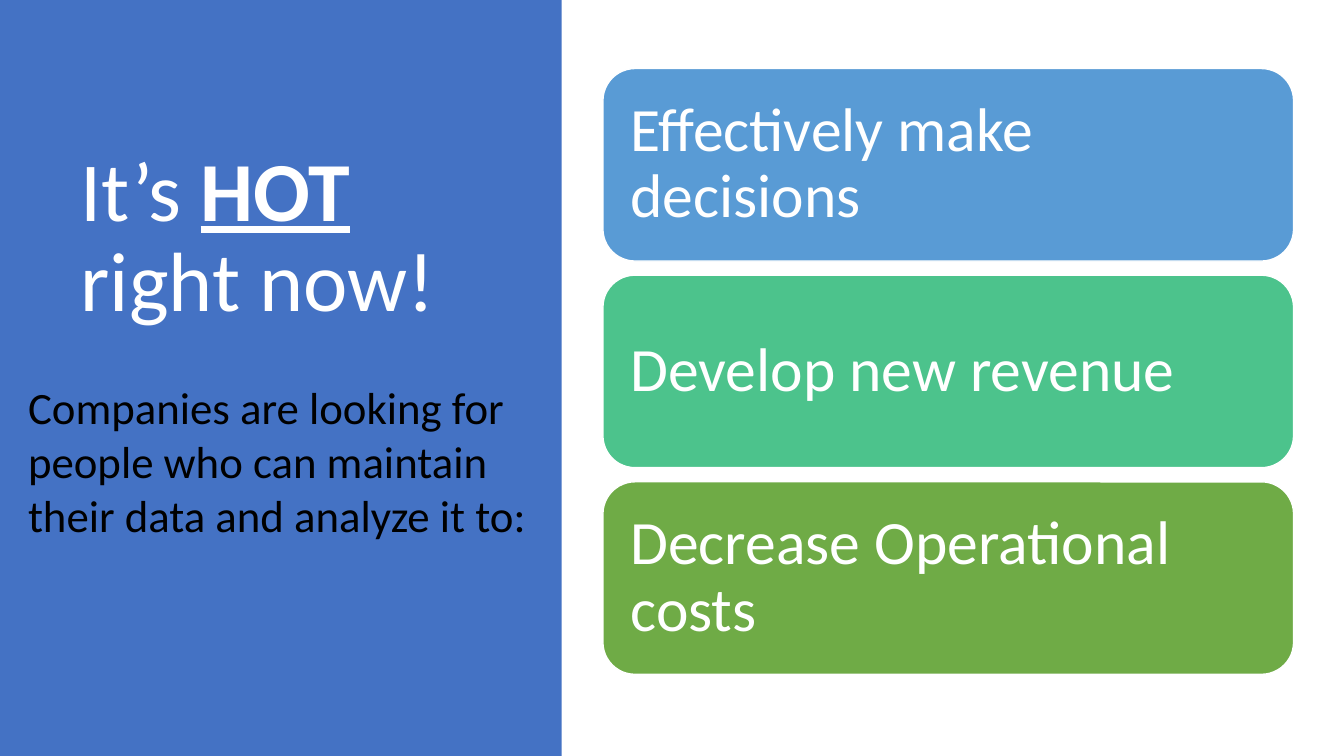
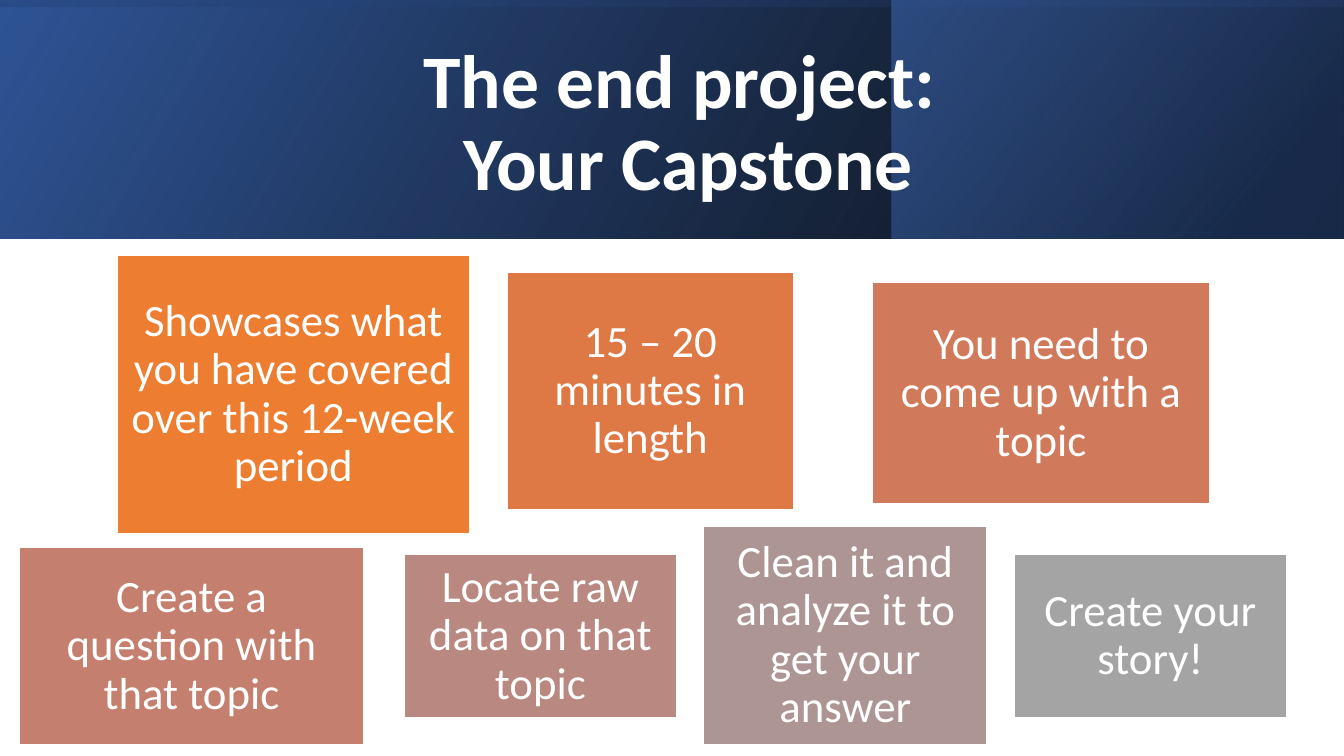
import pptx
import pptx.dml.color
import pptx.enum.shapes
import pptx.enum.text
import pptx.oxml
import pptx.oxml.ns
import pptx.util
from pptx.util import Inches

FONT = "Calibri"
WHITE, BLACK = "FFFFFF", "000000"
BLUE, DEEP_BLUE, NAVY = "4472C4", "2F5496", "1F3864"
WIDTH, HEIGHT, BAND_HEIGHT = 13.33, 7.5, 2.37
RECT = pptx.enum.shapes.MSO_SHAPE.RECTANGLE
ROUNDED = pptx.enum.shapes.MSO_SHAPE.ROUNDED_RECTANGLE
LEFT = pptx.enum.text.PP_ALIGN.LEFT
CENTER = pptx.enum.text.PP_ALIGN.CENTER
MIDDLE = pptx.enum.text.MSO_ANCHOR.MIDDLE
TOP = pptx.enum.text.MSO_ANCHOR.TOP

GOALS = [
    ("Effectively make decisions", "599BD5"),
    ("Develop new revenue", "4CC38C"),
    ("Decrease Operational costs", "6FAB46"),
]
STEPS = [
    ("Showcases what you have covered over this 12-week period", "ED7D31", (1.16, 2.53, 3.5, 2.77)),
    ("15 – 20 minutes in length", "DE7946", (5.03, 2.7, 2.84, 2.36)),
    ("You need to come up with a topic", "D07A5B", (8.65, 2.8, 3.35, 2.2)),
    ("Create a question with that topic", "C47F6E", (0.19, 5.43, 3.42, 1.96)),
    ("Locate raw data on that topic", "B88881", (4.01, 5.5, 2.7, 1.62)),
    ("Clean it and analyze it to get your answer", "AD9593", (6.98, 5.22, 2.81, 2.17)),
    ("Create your story!", "A4A4A4", (10.06, 5.5, 2.7, 1.62)),
]


def rgb(value):
    """Return the colour for a hex string."""
    return pptx.dml.color.RGBColor.from_string(value)


def inches(box):
    """Return the lengths of a box in inches."""
    return [Inches(v) for v in box]


def style_text(tf, size, color=WHITE, align=LEFT, anchor=MIDDLE, spacing=0.9):
    """Wrap, anchor and format every paragraph of a text frame."""
    tf.word_wrap = True
    tf.vertical_anchor = anchor
    for p in tf.paragraphs:
        p.alignment = align
        p.line_spacing = spacing
        p.font.name = FONT
        p.font.size = pptx.util.Pt(size)
        p.font.color.rgb = rgb(color)


def add_block(slide, box, fill=None, shape=RECT):
    """Add a shape without outline or shadow."""
    sp = slide.shapes.add_shape(shape, *inches(box))
    sp.shadow.inherit = False
    sp.line.fill.background()
    if fill:
        sp.fill.solid()
        sp.fill.fore_color.rgb = rgb(fill)
    return sp


def add_card(slide, box, text, fill, size, margin, align, shape=RECT):
    """Add a white-edged card holding white text."""
    sp = add_block(slide, box, fill, shape)
    sp.line.color.rgb = rgb(WHITE)
    sp.line.width = pptx.util.Pt(1)
    tf = sp.text_frame
    tf.margin_left = tf.margin_right = tf.margin_top = tf.margin_bottom = Inches(margin)
    tf.text = text
    style_text(tf, size, align=align)


def add_gradient(slide, box, stops, angle, rotation=0):
    """Add a mirrored block with stops of position, colour and opacity."""
    sp = add_block(slide, box)
    sp.rotation = rotation
    props = sp.element.spPr
    props.find(pptx.oxml.ns.qn("a:xfrm")).set("flipH", "1")
    marks = "".join(
        f'<a:gs pos="{pos * 1000}"><a:srgbClr val="{color}">'
        f'<a:alpha val="{alpha * 1000}"/></a:srgbClr></a:gs>'
        for pos, color, alpha in stops
    )
    fill = pptx.oxml.parse_xml(
        f'<a:gradFill {pptx.oxml.ns.nsdecls("a")} rotWithShape="1"><a:gsLst>{marks}</a:gsLst>'
        f'<a:lin ang="{angle * 60000}" scaled="0"/></a:gradFill>'
    )
    props.find(pptx.oxml.ns.qn("a:prstGeom")).addnext(fill)


def set_title(slide, box, text, size, align):
    """Place the title in front of the shapes so far and return its paragraph."""
    title = slide.shapes.title
    title.element.getparent().append(title.element)
    title.left, title.top, title.width, title.height = inches(box)
    tf = title.text_frame
    tf.auto_size = pptx.enum.text.MSO_AUTO_SIZE.NONE
    tf.text = text
    style_text(tf, size, align=align)
    return tf.paragraphs[0]


def add_text(slide, box, text, size, color):
    """Add a plain text box."""
    tf = slide.shapes.add_textbox(*inches(box)).text_frame
    tf.text = text
    style_text(tf, size, color, anchor=TOP, spacing=1.0)


def build_demand(slide):
    """Build the slide on why data skills are wanted."""
    add_block(slide, (0, 0, 5.57, HEIGHT), BLUE)
    p = set_title(slide, (0.7, 1, 4.16, 2.75), "It’s ", 60, LEFT)
    r = p.add_run()
    r.text = "HOT"
    r.font.bold = r.font.underline = True
    p.add_run().text = " right now!"
    for i, (text, fill) in enumerate(GOALS):
        box = (5.98, 0.68 + 2.05 * i, 6.85, 1.91)
        add_card(slide, box, text, fill, 44, 0.18, LEFT, ROUNDED)
    add_text(slide, (0.18, 3.72, 5.2, 1.72),
             "Companies are looking for people who can maintain their data and analyze it to:",
             32, BLACK)


def build_capstone(slide):
    """Build the slide on the end project."""
    add_gradient(slide, (0, 0, WIDTH, BAND_HEIGHT),
                 [(0, BLACK, 96), (100, DEEP_BLUE, 100)], 330)
    add_gradient(slide, (8.84, 0, 4.48, BAND_HEIGHT),
                 [(0, NAVY, 68), (19, NAVY, 68), (100, BLUE, 48)], 320)
    offset = (WIDTH - BAND_HEIGHT) / 2
    add_gradient(slide, (offset, -offset, BAND_HEIGHT, WIDTH),
                 [(0, DEEP_BLUE, 16), (23, DEEP_BLUE, 16), (99, BLACK, 45), (100, BLACK, 45)],
                 350, 270)
    p = set_title(slide, (1.51, 0.38, 10.63, 1.72),
                  "The end project: \vYour Capstone", 54, CENTER)
    p.font.bold = True
    for text, fill, box in STEPS:
        add_card(slide, box, text, fill, 32, 0.13, CENTER)


def main():
    """Build and save the presentation."""
    prs = pptx.Presentation()
    prs.slide_width, prs.slide_height = Inches(WIDTH), Inches(HEIGHT)
    for build in (build_demand, build_capstone):
        build(prs.slides.add_slide(prs.slide_layouts[5]))
    prs.save("out.pptx")


if __name__ == "__main__":
    main()
